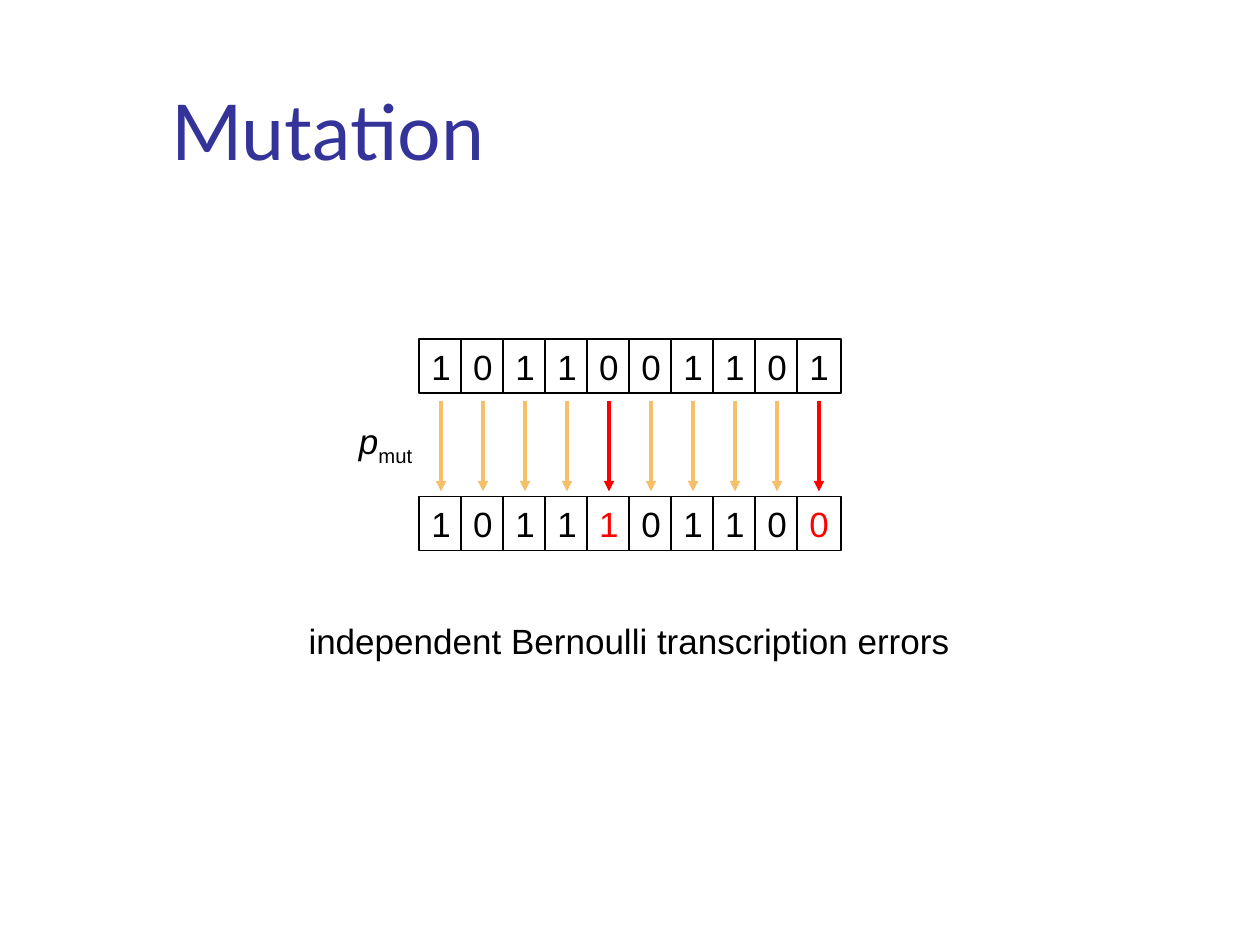
"""Build the slide on bitwise mutation of a genome."""
from dataclasses import dataclass

from lxml import etree
from pptx import Presentation
from pptx import util as u
from pptx.dml.color import RGBColor
from pptx.enum import shapes, text
from pptx.oxml.ns import qn

BLACK, WHITE, RED, AMBER, INDIGO = "000000", "FFFFFF", "FF0000", "F6BF69", "333399"
BODY = {"name": "Arial", "size": u.Pt(20)}
HEADING = {"name": "Lato", "size": u.Pt(44)}
HEADING_FRAME = {"word_wrap": True, "vertical_anchor": text.MSO_ANCHOR.MIDDLE}
BODY_FRAME = {"word_wrap": False, "auto_size": text.MSO_AUTO_SIZE.SHAPE_TO_FIT_TEXT}
CELL_FRAME = {"word_wrap": False, "vertical_anchor": text.MSO_ANCHOR.TOP}
PARENT, CHILD = "1011001101", "1011101100"
FIRST_CENTRE, PITCH = 3.5, 1 / 3
CELL_WIDTH, CELL_HEIGHT = 0.35, 0.43
ARROW_TOP, ARROW_BOTTOM = 3.18, 3.9


@dataclass
class Genome:
    bits: str
    top: float
    colours: list[str]


@dataclass
class Label:
    left: float
    top: float
    width: float
    height: float
    words: str
    style: dict
    frame: dict
    colour: str = BLACK
    subscript: str = ""


def rgb(colour: str) -> RGBColor:
    return RGBColor.from_string(colour)


def centre(locus: int) -> float:
    return FIRST_CENTRE + locus * PITCH


def apply(target, values: dict) -> None:
    for attribute, value in values.items():
        setattr(target, attribute, value)


def write(paragraph, words: str, style: dict, colour: str):
    run = paragraph.add_run()
    run.text = words
    apply(run.font, style)
    run.font.color.rgb = rgb(colour)
    return run


def draw_genome(slide, genome: Genome) -> None:
    row = slide.shapes.add_group_shape()
    for locus, (bit, colour) in enumerate(zip(genome.bits, genome.colours)):
        cell = row.shapes.add_shape(
            shapes.MSO_SHAPE.RECTANGLE,
            u.Inches(centre(locus) - CELL_WIDTH / 2), u.Inches(genome.top),
            u.Inches(CELL_WIDTH), u.Inches(CELL_HEIGHT))
        cell.shadow.inherit = False
        cell.fill.solid()
        cell.fill.fore_color.rgb = rgb(WHITE)
        cell.line.color.rgb = rgb(BLACK)
        cell.line.width = u.Pt(1)
        apply(cell.text_frame, CELL_FRAME)
        paragraph = cell.text_frame.paragraphs[0]
        paragraph.alignment = text.PP_ALIGN.CENTER
        write(paragraph, bit, BODY, colour)


def draw_arrow(slide, locus: int, colour: str) -> None:
    x = u.Inches(centre(locus))
    arrow = slide.shapes.add_connector(
        shapes.MSO_CONNECTOR.STRAIGHT,
        x, u.Inches(ARROW_TOP), x, u.Inches(ARROW_BOTTOM))
    arrow.line.color.rgb = rgb(colour)
    arrow.line.width = u.Pt(2)
    etree.SubElement(arrow.line._get_or_add_ln(), qn("a:tailEnd"), type="triangle")
    etree.SubElement(arrow._element.spPr, qn("a:effectLst"))


def draw_label(slide, label: Label) -> None:
    box = slide.shapes.add_textbox(
        u.Inches(label.left), u.Inches(label.top),
        u.Inches(label.width), u.Inches(label.height))
    apply(box.text_frame, label.frame)
    paragraph = box.text_frame.paragraphs[0]
    write(paragraph, label.words, label.style, label.colour)
    if label.subscript:
        lowered = write(paragraph, label.subscript, BODY, label.colour)
        lowered.font._element.set("baseline", "-25000")


def main() -> None:
    deck = Presentation()
    deck.slide_width, deck.slide_height = u.Inches(10), u.Inches(7.5)
    slide = deck.slides.add_slide(deck.slide_layouts[6])
    slide.background.fill.solid()
    slide.background.fill.fore_color.rgb = rgb(WHITE)

    mutated = [before != after for before, after in zip(PARENT, CHILD)]
    child_colours = [RED if flipped else BLACK for flipped in mutated]
    draw_label(slide, Label(1.26, 0.23, 8.52, 1.6, "Mutation",
                            HEADING, HEADING_FRAME, INDIGO))
    draw_genome(slide, Genome(PARENT, 2.69, [BLACK] * len(PARENT)))
    draw_label(slide, Label(2.75, 3.28, 0.64, 0.48, "p", {**BODY, "italic": True},
                            BODY_FRAME, subscript="mut"))
    draw_genome(slide, Genome(CHILD, 3.94, child_colours))
    for locus, flipped in enumerate(mutated):
        draw_arrow(slide, locus, RED if flipped else AMBER)
    draw_label(slide, Label(2.35, 4.87, 5.29, 0.43,
                            "independent Bernoulli transcription errors",
                            BODY, BODY_FRAME))
    deck.save("out.pptx")


if __name__ == "__main__":
    main()
